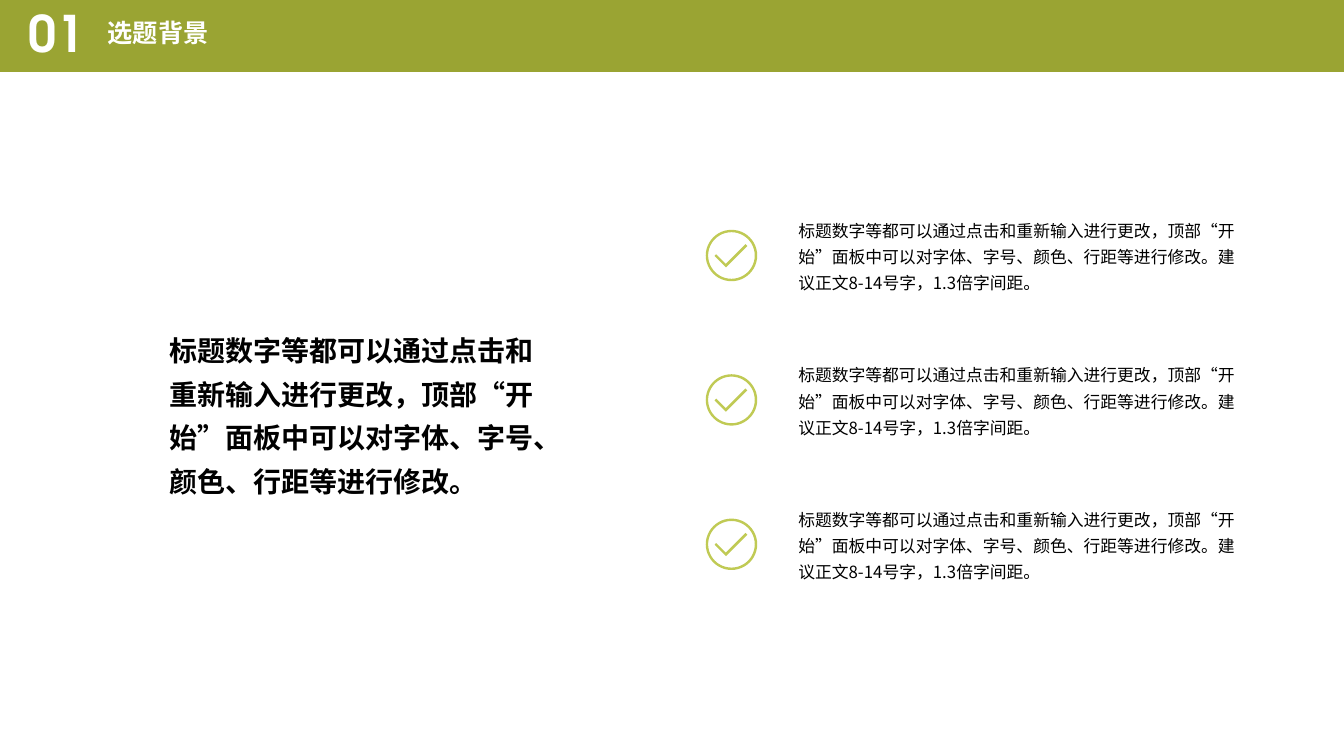
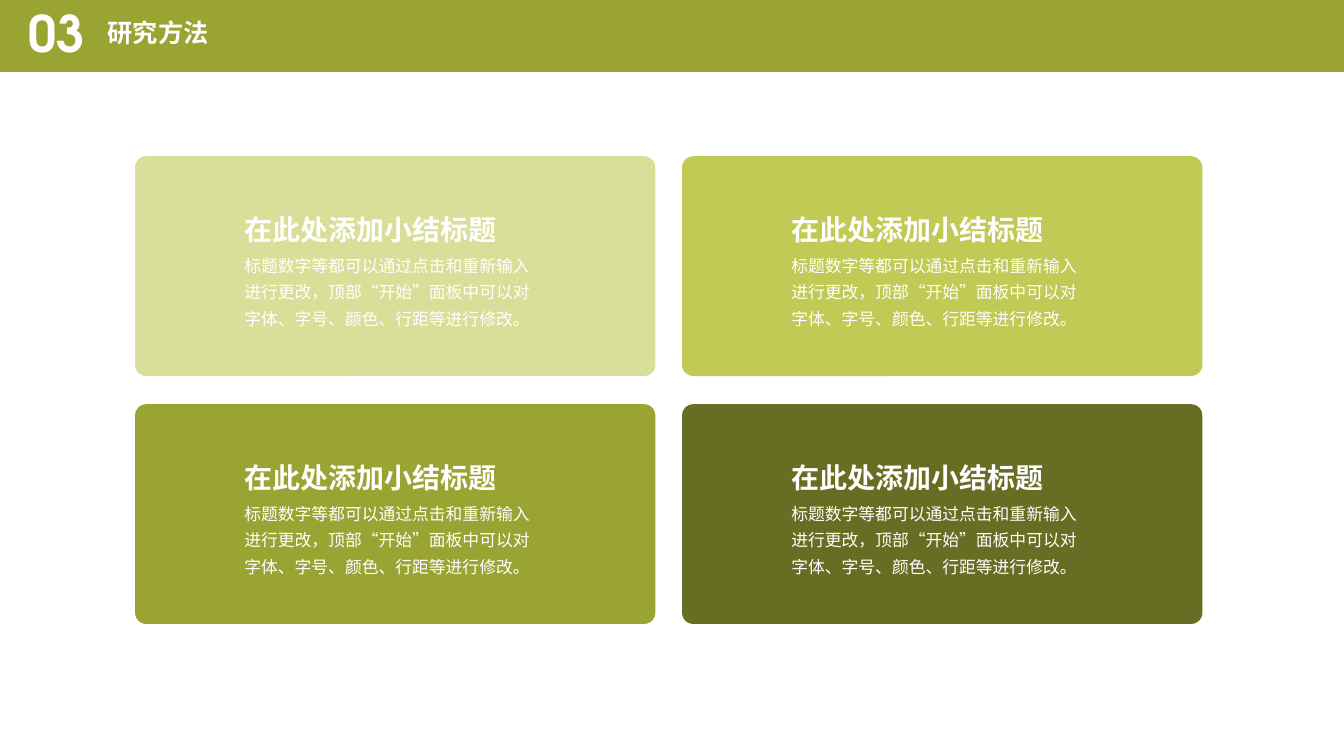
import pptx
import pptx.dml.color
import pptx.enum.lang
import pptx.enum.shapes
import pptx.enum.text
import pptx.oxml.ns
import pptx.util
from lxml import etree

WIDTH, HEIGHT = pptx.util.Inches(13.33), pptx.util.Inches(7.5)
SHAPE = pptx.enum.shapes.MSO_SHAPE
ANCHOR = pptx.enum.text.MSO_ANCHOR
BODY_FONT, HEAD_FONT = "Noto Sans CJK SC", "TeX Gyre Adventor"
WHITE, BLACK = "FFFFFF", "000000"
PALE, LIGHT, OLIVE, DARK = "D9DF98", "C0CA54", "9AA433", "676D22"
SUMMARY = "标题数字等都可以通过点击和重新输入进行更改，顶部“开始”面板中可以对字体、字号、颜色、行距等进行修改。"
DETAIL = SUMMARY + "建议正文8-14号字，1.3倍字间距。"
CARD_TITLE = "在此处添加小结标题"


def rgb(value):
    """Turn a hex string into a colour."""
    return pptx.dml.color.RGBColor.from_string(value)


def place(x, y, w, h):
    """Turn percentages of the slide's size into lengths."""
    return (round(WIDTH * x / 100), round(HEIGHT * y / 100),
            round(WIDTH * w / 100), round(HEIGHT * h / 100))


def add_block(slide, kind, box, color, adjustments=(), rotation=0):
    """Add a filled preset shape without outline or shadow."""
    sp = slide.shapes.add_shape(kind, *place(*box))
    sp.shadow.inherit = False
    sp.fill.solid()
    sp.fill.fore_color.rgb = rgb(color)
    sp.line.fill.background()
    sp.rotation = rotation
    for i, value in enumerate(adjustments):
        sp.adjustments[i] = value


def add_text(slide, box, text, size, color, bold=False, font=BODY_FONT,
             spacing=1.3, anchor=ANCHOR.TOP):
    """Add a wrapped text box holding one paragraph."""
    sp = slide.shapes.add_textbox(*place(*box))
    tf = sp.text_frame
    tf.word_wrap = True
    tf.vertical_anchor = anchor
    tf.text = text
    p = tf.paragraphs[0]
    p.line_spacing = spacing
    r = p.runs[0]
    r.font.size = pptx.util.Pt(size)
    r.font.bold = bold
    r.font.name = font
    r.font.color.rgb = rgb(color)
    r.font.language_id = pptx.enum.lang.MSO_LANGUAGE_ID.SIMPLIFIED_CHINESE
    ea = etree.SubElement(r._r.get_or_add_rPr(), pptx.oxml.ns.qn("a:ea"))
    ea.set("typeface", BODY_FONT)


def add_section_slide(prs, number, title):
    """Add a blank slide with the numbered title band."""
    slide = prs.slides.add_slide(prs.slide_layouts[6])
    add_block(slide, SHAPE.RECTANGLE, (0, 0, 100, 9.5), OLIVE)
    add_text(slide, (7.28, 2.13, 31.36, 5.33), title, 18, WHITE, True,
             HEAD_FONT, 0.9)
    add_text(slide, (1.35, 1.2, 5.93, 7.07), number, 36, WHITE, True,
             HEAD_FONT, 0.9, ANCHOR.MIDDLE)
    return slide


def add_check_item(slide, y, text):
    """Add a ringed tick with its explanation."""
    add_block(slide, SHAPE.DONUT, (52.51, y + 2.67, 3.83, 6.8), LIGHT, [0.047])
    add_block(slide, SHAPE.CORNER, (53.26, y + 4.4, 2.25, 2.13), LIGHT,
              [0.162, 0.149], 315)
    add_text(slide, (58.66, y, 34.88, 11.87), text, 12, BLACK)


def add_card(slide, x, y, color):
    """Add a rounded card with a heading and body text."""
    add_block(slide, SHAPE.ROUNDED_RECTANGLE, (x, y, 38.71, 29.07), color,
              [0.051])
    add_text(slide, (x + 7.39, y + 11.73, 23.93, 11.87), SUMMARY, 12, WHITE)
    add_text(slide, (x + 7.39, y + 5.4, 23.93, 7.2), CARD_TITLE, 20, WHITE, True)


def build_background(prs):
    """Build the slide with a statement and three ticked points."""
    slide = add_section_slide(prs, "01", "选题背景")
    add_text(slide, (11.85, 42.13, 30.53, 24.67), SUMMARY, 20, BLACK, True)
    for i in range(3):
        add_check_item(slide, 27.73 + 19.1 * i, DETAIL)


def build_methods(prs):
    """Build the slide with a two by two grid of cards."""
    slide = add_section_slide(prs, "03", "研究方法")
    for i, color in enumerate((PALE, LIGHT, OLIVE, DARK)):
        row, column = divmod(i, 2)
        add_card(slide, 10.05 + 40.7 * column, 20.67 + 32.8 * row, color)


def main():
    """Build and save the presentation."""
    prs = pptx.Presentation()
    prs.slide_width, prs.slide_height = WIDTH, HEIGHT
    build_background(prs)
    build_methods(prs)
    prs.save("out.pptx")


if __name__ == "__main__":
    main()
